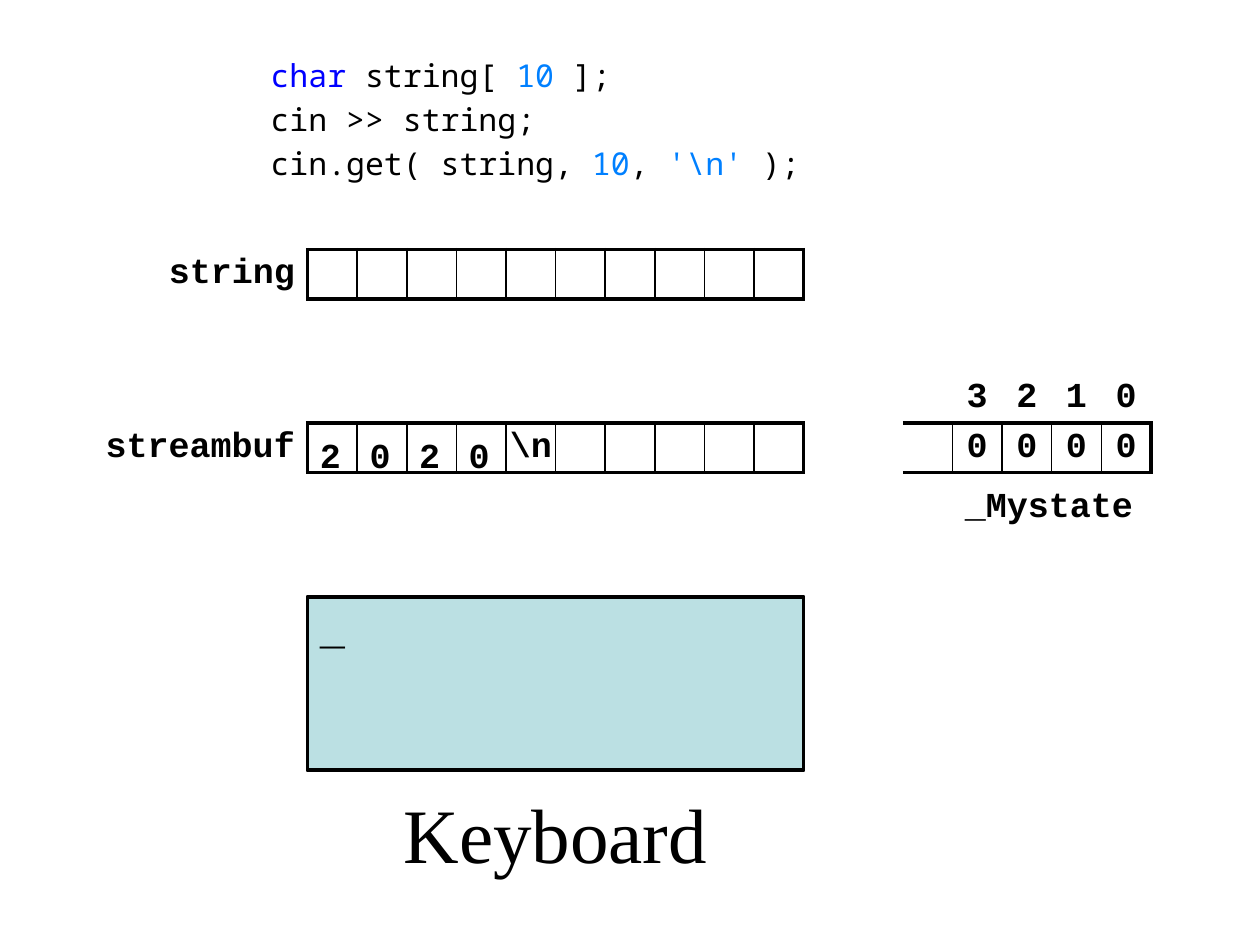
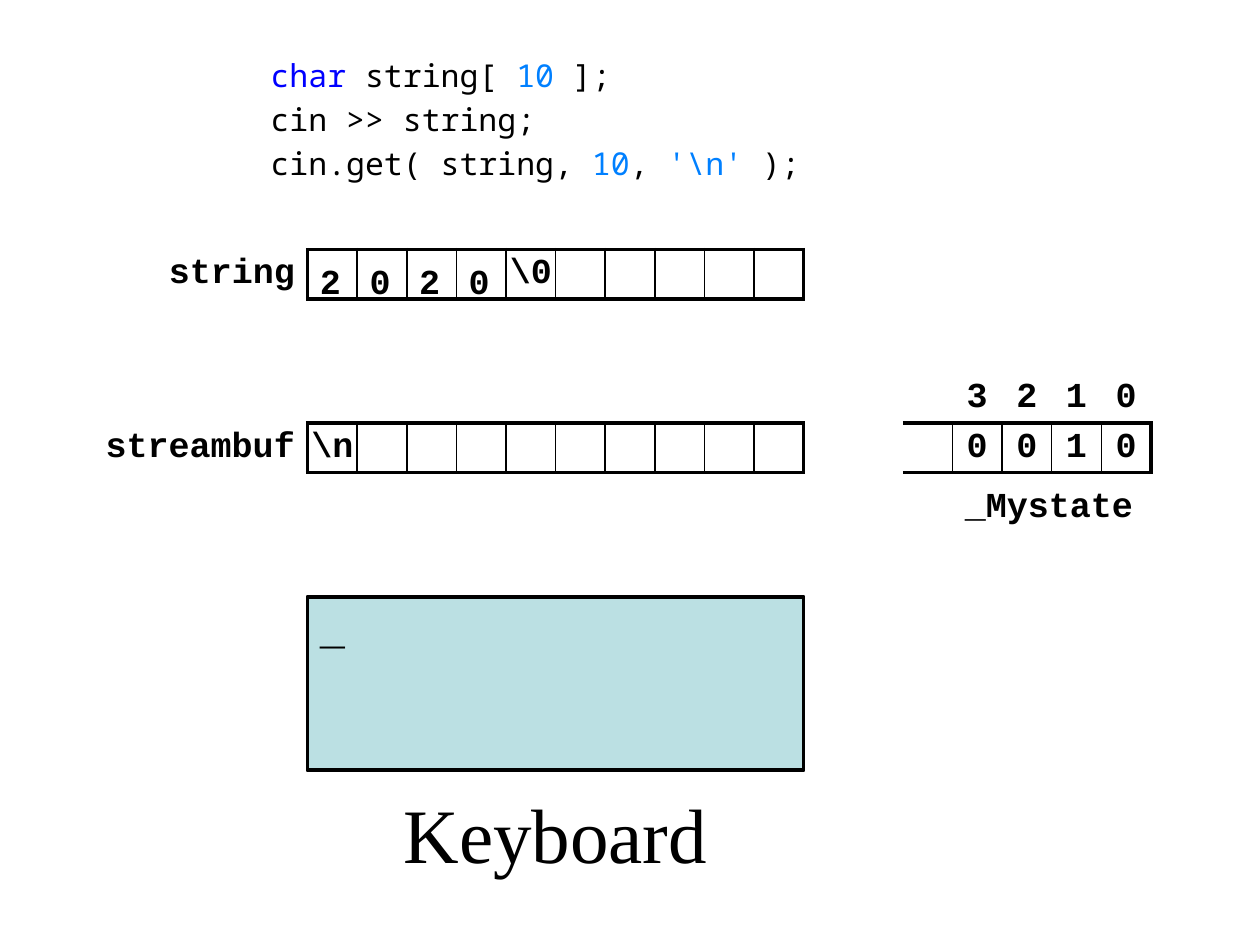
"""Build two slides that follow cin input through its buffer and state bits."""
import pptx
import pptx.dml.color
import pptx.enum.shapes
import pptx.enum.text
import pptx.oxml
import pptx.oxml.ns
import pptx.util

COLORS = {"text": "000000", "keyword": "0000FF", "literal": "0080FF", "screen": "BBE0E3"}
MONO, CODE_FONT, SERIF = "Courier New", "Noto Sans Mono", "Times New Roman"
THICK, THIN = 2.25, 1
CODE = [
    [("char", "keyword"), (" string[ ", "text"), ("10", "literal"), (" ];", "text")],
    [("cin >> string;", "text")],
    [("cin.get( string, ", "text"), ("10", "literal"), (", ", "text"),
     ("'\\n'", "literal"), (" );", "text")],
]
BITS = ["", "3", "2", "1", "0"]
STEPS = [
    {"string": {}, "streambuf": {4: "\\n"}, "digits": "2020", "digits_in": "streambuf",
     "state": ["", "0", "0", "0", "0"]},
    {"string": {4: "\\0"}, "streambuf": {0: "\\n"}, "digits": "2020", "digits_in": "string",
     "state": ["", "0", "0", "1", "0"]},
]
SLOTS = 10
GRID_LEFT = 6.2
ROW_TOP = {"string": 5.03, "streambuf": 8.53}
LABEL_WIDTH = {"string": 3, "streambuf": 5.5}
STATE_LEFT = GRID_LEFT + 12
SCREEN_TOP, SCREEN_HEIGHT = 12.03, 3.5
CAPTION_HEIGHT = 2.5

cm = pptx.util.Cm
inches = pptx.util.Inches
Align = pptx.enum.text.PP_ALIGN
Anchor = pptx.enum.text.MSO_ANCHOR


def color(name):
    return pptx.dml.color.RGBColor.from_string(COLORS[name])


def set_text(frame, text, size=20, font=MONO, bold=True, align=Align.LEFT):
    para = frame.paragraphs[0]
    para.text = text
    para.alignment = align
    para.font.size = pptx.util.Pt(size)
    para.font.name = font
    para.font.bold = bold
    para.font.color.rgb = color("text")


def add_label(slide, text, left, top, width):
    frame = slide.shapes.add_textbox(cm(left), cm(top), cm(width), cm(1)).text_frame
    frame.word_wrap = True
    frame.margin_top, frame.margin_bottom = inches(0.08), 0
    set_text(frame, text)


def set_borders(cell, widths):
    properties = cell._tc.get_or_add_tcPr()
    for side, width in zip("LRTB", widths):
        fill = f'<a:solidFill><a:srgbClr val="{COLORS["text"]}"/></a:solidFill>' if width else "<a:noFill/>"
        properties.append(pptx.oxml.parse_xml(
            f'<a:ln{side} {pptx.oxml.ns.nsdecls("a")} w="{pptx.util.Pt(width)}">{fill}</a:ln{side}>'))


def add_cells(slide, left, top, widths, rows, first_framed):
    """Draw a table whose last row is framed from one column to the right end."""
    last_row, column_count = len(rows) - 1, len(widths)
    table = slide.shapes.add_table(
        len(rows), column_count, cm(left), cm(top), cm(sum(widths)), cm(len(rows))).table
    table.first_row = table.horz_banding = False

    def upright(row, edge):
        if row < last_row or edge < first_framed or edge == 0:
            return 0
        return THICK if edge in (first_framed, column_count) else THIN

    def level(column, edge):
        return THICK if edge >= last_row and column >= first_framed else 0

    for column, width in enumerate(widths):
        table.columns[column].width = cm(width)
    for row, texts in enumerate(rows):
        table.rows[row].height = cm(1)
        for column, text in enumerate(texts):
            cell = table.cell(row, column)
            is_label = column < first_framed
            cell.margin_left = cell.margin_top = cell.margin_bottom = 0
            cell.margin_right = inches(0.1) if is_label else 0
            cell.vertical_anchor = Anchor.MIDDLE
            set_borders(cell, (upright(row, column), upright(row, column + 1),
                               level(column, row), level(column, row + 1)))
            cell.fill.background()
            set_text(cell.text_frame, text, align=Align.RIGHT if is_label else Align.CENTER)


def add_array(slide, name, values, spare_rows):
    width = LABEL_WIDTH[name]
    blank = [""] * (SLOTS + 1)
    row = [name] + [values.get(slot, "") for slot in range(SLOTS)]
    add_cells(slide, GRID_LEFT - width, ROW_TOP[name] - spare_rows,
              [width] + [1] * SLOTS, [blank] * spare_rows + [row], 1)


def fill_code(body):
    body.left, body.top, body.width, body.height = cm(5.2), cm(1), cm(11.5), cm(3)
    frame = body.text_frame
    frame.auto_size = pptx.enum.text.MSO_AUTO_SIZE.NONE
    frame.vertical_anchor = Anchor.TOP
    frame.margin_right = inches(0.04)
    for index, tokens in enumerate(CODE):
        para = frame.add_paragraph() if index else frame.paragraphs[0]
        para.font.name, para.font.size = CODE_FONT, pptx.util.Pt(18)
        properties = para._p.get_or_add_pPr()
        properties.set("marL", "0")
        properties.set("indent", "0")
        properties.insert(0, pptx.oxml.parse_xml(f'<a:buNone {pptx.oxml.ns.nsdecls("a")}/>'))
        for text, role in tokens:
            span = para.add_run()
            span.text = text
            span.font.color.rgb = color(role)


def add_screen(slide):
    screen = slide.shapes.add_shape(
        pptx.enum.shapes.MSO_SHAPE.RECTANGLE,
        cm(GRID_LEFT), cm(SCREEN_TOP), cm(SLOTS), cm(SCREEN_HEIGHT))
    screen.shadow.inherit = False
    screen.fill.solid()
    screen.fill.fore_color.rgb = color("screen")
    screen.line.color.rgb = color("text")
    screen.line.width = pptx.util.Pt(THICK)
    screen.text_frame.vertical_anchor = Anchor.TOP
    set_text(screen.text_frame, "_", size=24)


def add_caption_to_layout(slide):
    caption = slide.shapes.add_textbox(
        cm(GRID_LEFT), cm(SCREEN_TOP + SCREEN_HEIGHT), cm(SLOTS), cm(CAPTION_HEIGHT))
    caption.text_frame.word_wrap = True
    caption.text_frame.vertical_anchor = Anchor.MIDDLE
    set_text(caption.text_frame, "Keyboard", 44, SERIF, False, Align.CENTER)
    slide.slide_layout.shapes.element.append(caption.element)


def add_step(deck, step):
    slide = deck.slides.add_slide(deck.slide_layouts[1])
    title = slide.shapes.title.element
    title.getparent().remove(title)
    fill_code(slide.placeholders[1])
    add_array(slide, "streambuf", step["streambuf"], 1)
    add_array(slide, "string", step["string"], 0)
    add_screen(slide)
    for slot, digit in enumerate(step["digits"]):
        add_label(slide, digit, GRID_LEFT + slot, ROW_TOP[step["digits_in"]], 1)
    state_top = ROW_TOP["streambuf"]
    add_label(slide, "_Mystate", STATE_LEFT + 1, state_top + 1, 4)
    add_cells(slide, STATE_LEFT, state_top - 1, [1] * len(BITS), [BITS, step["state"]], 0)
    return slide


def main():
    deck = pptx.Presentation()
    deck.slide_width, deck.slide_height = inches(10), inches(7.5)
    slides = [add_step(deck, step) for step in STEPS]
    add_caption_to_layout(slides[0])
    deck.save("out.pptx")


if __name__ == "__main__":
    main()
